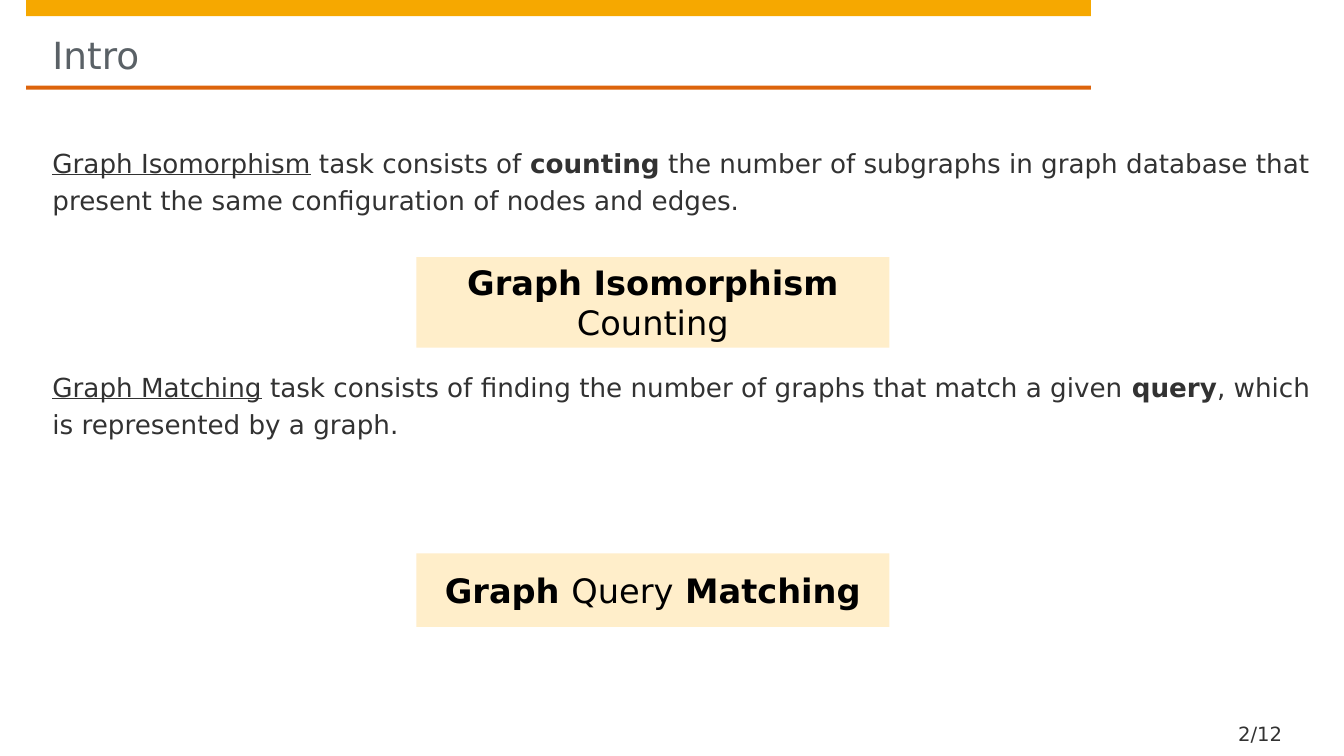
from pptx import Presentation
from pptx.dml.color import RGBColor
from pptx.enum.shapes import MSO_SHAPE
from pptx.enum.text import MSO_ANCHOR, MSO_AUTO_SIZE, PP_ALIGN
from pptx.util import Inches, Pt

RECT = MSO_SHAPE.RECTANGLE
TOP, MIDDLE, BOTTOM = MSO_ANCHOR.TOP, MSO_ANCHOR.MIDDLE, MSO_ANCHOR.BOTTOM
LEFT, CENTER = PP_ALIGN.LEFT, PP_ALIGN.CENTER
NO_FIT = MSO_AUTO_SIZE.NONE

AMBER = RGBColor(0xF6, 0xA8, 0x00)
ORANGE = RGBColor(0xDD, 0x64, 0x0C)
CREAM = RGBColor(0xFF, 0xEE, 0xCA)
GREY = RGBColor(0x5A, 0x61, 0x66)
DARK = RGBColor(0x32, 0x32, 0x32)
BLACK = RGBColor(0, 0, 0)
FONT = "DejaVu Sans"

# A paragraph is a list of (text, style); style is "b" bold, "u" underlined or "".
TITLE = [[("Intro", "")]]
PAGE = [[("2/12", "")]]
TASKS = [
    [("Graph Isomorphism", "u"), (" task consists of ", ""), ("counting", "b"),
     (" the number of subgraphs in graph database that present the same "
      "configuration of nodes and edges.", "")],
    [("Graph Matching", "u"),
     (" task consists of finding the number of graphs that match a given ", ""),
     ("query", "b"), (", which is represented by a graph.", "")],
]
BARS = [(0, 0.16, AMBER), (0.85, 0.04, ORANGE)]  # top, height, fill
LABELS = [  # top, height, text
    (2.55, 0.9, [[("Graph Isomorphism ", "b"), ("Counting", "")]]),
    (5.49, 0.73, [[("Graph ", "b"), ("Query", ""), (" Matching", "b")]]),
]
LINE = 26.7  # body line pitch in points
TASK_GAP = 4 * LINE


def write(shape, paras, size, color, align=LEFT, anchor=TOP,
          inset=(0, 0, 0, 0), pitch=None, gap=0):
    frame = shape.text_frame
    frame.word_wrap = True
    frame.auto_size = NO_FIT
    frame.vertical_anchor = anchor
    (frame.margin_left, frame.margin_top,
     frame.margin_right, frame.margin_bottom) = map(Inches, inset)
    for i, runs in enumerate(paras):
        para = frame.add_paragraph() if i else frame.paragraphs[0]
        para.alignment = align
        if pitch:
            para.line_spacing = Pt(pitch)
        if i:
            para.space_before = Pt(gap)
        for text, style in runs:
            run = para.add_run()
            run.text = text
            font = run.font
            font.name, font.size = FONT, Pt(size)
            font.color.rgb = color
            font.bold = style == "b"
            font.underline = style == "u"


def add_rect(slide, left, top, width, height, fill):
    rect = slide.shapes.add_shape(RECT, *map(Inches, (left, top, width, height)))
    rect.shadow.inherit = False
    rect.fill.solid()
    rect.fill.fore_color.rgb = fill
    rect.line.fill.background()
    return rect


def add_box(slide, *place):
    return slide.shapes.add_textbox(*map(Inches, place))


def main():
    deck = Presentation()
    deck.slide_width, deck.slide_height = Inches(13.33), Inches(7.5)
    slide = deck.slides.add_slide(deck.slide_layouts[5])

    for top, height, fill in BARS:
        add_rect(slide, 0.26, top, 10.56, height, fill)

    title = slide.shapes.title
    title.left, title.top = Inches(0.52), Inches(0.16)
    title.width, title.height = Inches(10.03), Inches(0.61)
    write(title, TITLE, 26.7, GREY, inset=(0, 0.16, 0, 0))

    body = add_box(slide, 0.52, 1.4, 12.55, 5.6)
    write(body, TASKS, 18.7, DARK, pitch=LINE, gap=TASK_GAP)

    for top, height, text in LABELS:
        label = add_rect(slide, 4.13, top, 4.69, height, CREAM)
        write(label, text, 24, BLACK, align=CENTER, anchor=MIDDLE,
              inset=(0.1, 0.05, 0.1, 0.05))

    page = add_box(slide, 12.16, 7.12, 0.91, 0.28)
    write(page, PAGE, 14, DARK, anchor=BOTTOM, inset=(0.12, 0, 0, 0))

    deck.save("out.pptx")


if __name__ == "__main__":
    main()
